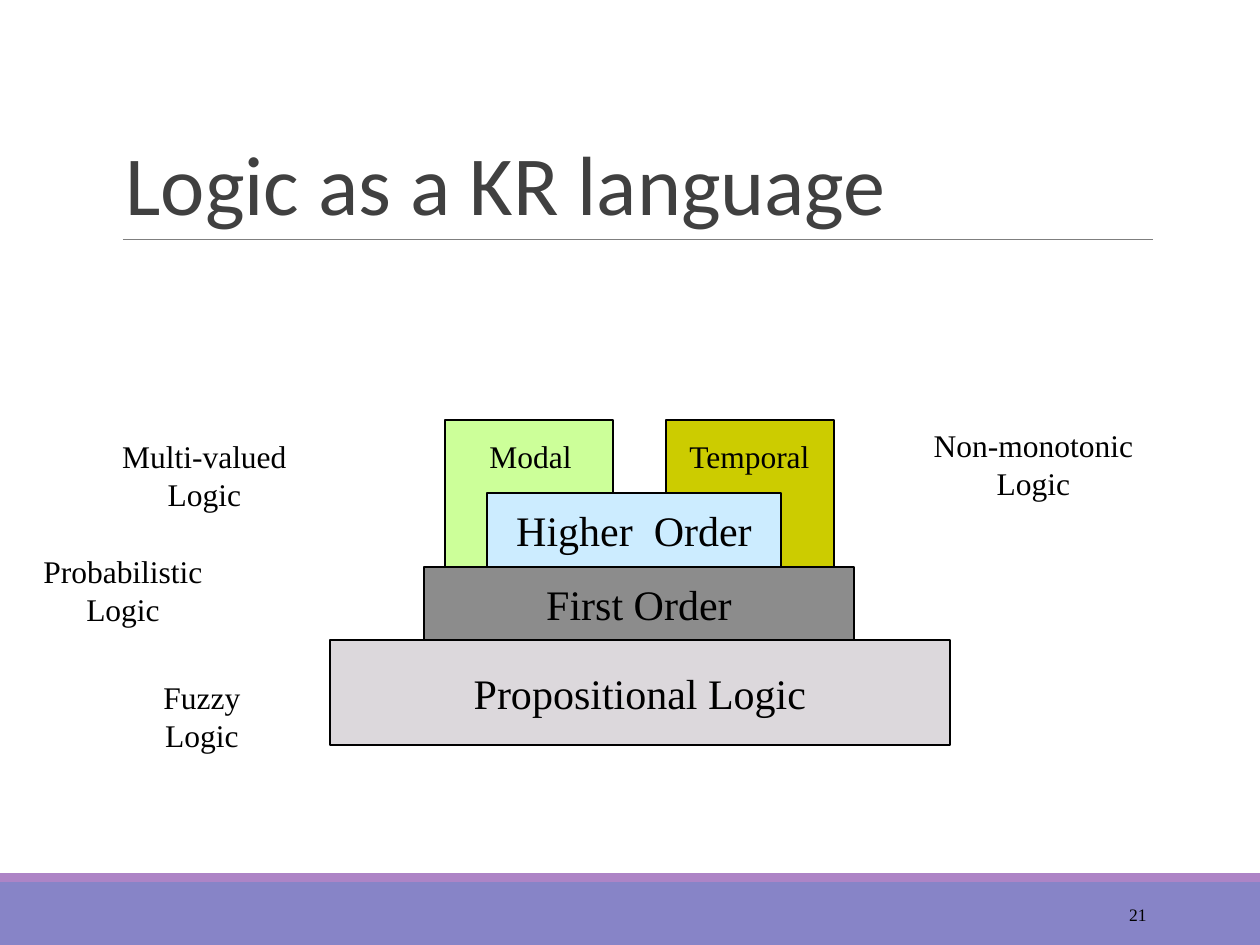
from pptx import Presentation
from pptx.dml.color import RGBColor
from pptx.enum.shapes import MSO_CONNECTOR, MSO_SHAPE
from pptx.enum.text import MSO_ANCHOR, MSO_AUTO_SIZE, PP_ALIGN
from pptx.oxml.ns import qn
from pptx.util import Emu, Pt

RECT, STRAIGHT = MSO_SHAPE.RECTANGLE, MSO_CONNECTOR.STRAIGHT
TOP, MIDDLE, BOTTOM = MSO_ANCHOR.TOP, MSO_ANCHOR.MIDDLE, MSO_ANCHOR.BOTTOM
LEFT, CENTER, RIGHT = PP_ALIGN.LEFT, PP_ALIGN.CENTER, PP_ALIGN.RIGHT
NO_FIT = MSO_AUTO_SIZE.NONE
SERIF = "Times New Roman"

# Content: boxes are left, top, width, height in px
TITLE = "Logic as a KR language"
TITLE_BOX = (113, 39, 1040, 200)
RULE = (123, 239, 1153, 239)
PAGE_NUMBER, PAGE_BOX = "21", (1023, 890, 136, 50)

BANDS = [((0, 882, 1260, 63), "8784C7"),
         ((0, 873, 1260, 9), "AD84C6")]

# Building blocks of the logic stack, from back to front
BLOCKS = [("", (666, 420, 168, 147), "CCCC00"),
          ("", (445, 420, 168, 147), "CCFF99"),
          ("Propositional Logic", (330, 640, 620, 105), "DCD8DC"),
          ("First Order", (424, 567, 430, 73), "8C8C8C"),
          ("Higher  Order", (487, 493, 294, 74), "CCECFF")]

LABELS = [(["Modal"], (477, 431, 107, 50)),
          (["Temporal"], (676, 431, 147, 50)),
          (["Fuzzy", "Logic"], (151, 672, 102, 88)),
          (["Multi-valued", "Logic"], (110, 431, 189, 88)),
          (["Probabilistic", "Logic"], (31, 546, 184, 88)),
          (["Non-monotonic", "Logic"], (921, 420, 225, 88))]


def px(n):
    return Emu(round(n * 914400 / 126))


def color(hex_text):
    return RGBColor.from_string(hex_text)


def write(sp, lines, size, align=CENTER, anchor=MIDDLE, font=SERIF,
          ink="000000", spacing=1.0, wrap=False):
    tf = sp.text_frame
    frame = {"auto_size": NO_FIT, "word_wrap": wrap, "vertical_anchor": anchor}
    for name, value in frame.items():
        setattr(tf, name, value)
    tf.text = "\n".join(lines)
    for p in tf.paragraphs:
        p.alignment, p.line_spacing = align, spacing
        for name, value in {"name": font, "size": Pt(size)}.items():
            setattr(p.runs[0].font, name, value)
        p.runs[0].font.color.rgb = color(ink)


def add_rect(s, box, fill, line=None):
    sp = s.shapes.add_shape(RECT, *map(px, box))
    sp.shadow.inherit = False
    sp.fill.solid()
    sp.fill.fore_color.rgb = color(fill)
    if line:
        sp.line.color.rgb = color(line)
        sp.line.width = Pt(0.75)
    else:
        sp.line.fill.background()
    return sp


def add_text(s, box, lines, size, **style):
    write(s.shapes.add_textbox(*map(px, box)), lines, size, **style)


prs = Presentation()
prs.slide_width, prs.slide_height = px(1260), px(945)
s = prs.slides.add_slide(prs.slide_layouts[5])

# Title and the rule below it
title = s.shapes.title
for name, n in zip(("left", "top", "width", "height"), TITLE_BOX):
    setattr(title, name, px(n))
write(title, [TITLE], 48, LEFT, BOTTOM, "Calibri", "404040", 0.85, True)
rule = s.shapes.add_connector(STRAIGHT, *map(px, RULE))
rule.line.color.rgb = color("7F7F7F")
rule.line.width = Pt(0.5)
sp_pr = rule._element.spPr
sp_pr.append(sp_pr.makeelement(qn("a:effectLst"), {}))

# Footer
for box, fill in BANDS:
    add_rect(s, box, fill)
add_text(s, PAGE_BOX, [PAGE_NUMBER], 10, align=RIGHT, wrap=True)

# Logic stack
for text, box, fill in BLOCKS:
    block = add_rect(s, box, fill, "000000")
    if text:
        write(block, [text], 24)

# Labels on and around the stack
for lines, box in LABELS:
    add_text(s, box, lines, 18, anchor=TOP)

prs.save("out.pptx")
